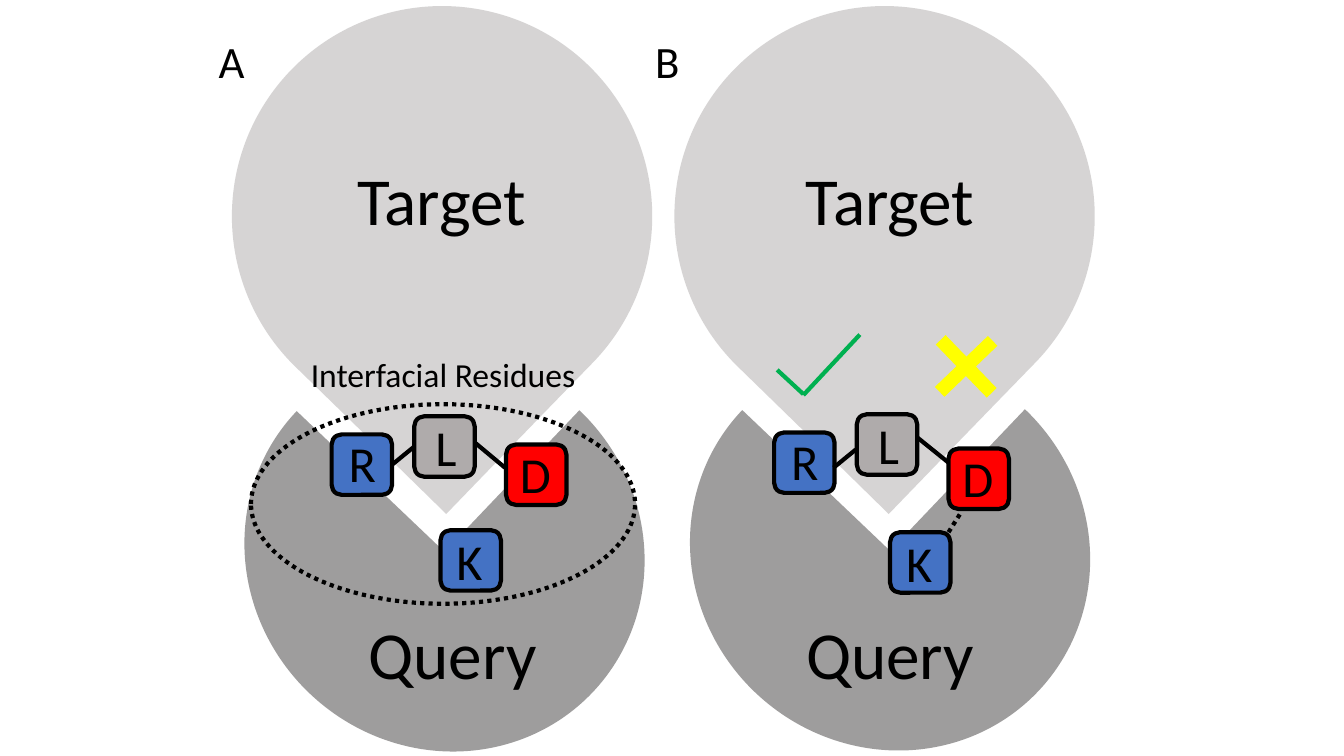
from dataclasses import dataclass

import pptx
import pptx.dml.color
import pptx.enum.dml
import pptx.enum.shapes
import pptx.enum.text
import pptx.oxml.ns
import pptx.shapes.autoshape
import pptx.shapes.connector
import pptx.slide
import pptx.util
from lxml import etree

SHAPES = pptx.enum.shapes.MSO_SHAPE
ALIGN = pptx.enum.text.PP_ALIGN
CELL = pptx.util.Inches(0.1)  # one column or one row of the layout grid
COLUMNS, ROWS = 133.33, 75
RIGHT_SIDE, LEFT_SIDE = 3, 1
RESIDUE_SIZE = 6


@dataclass(frozen=True)
class Theme:
    font: str = "Calibri"
    ink: str = "000000"
    target: str = "AFABAB"
    query: str = "3B3838"
    match: str = "00B050"
    clash: str = "FFFF00"
    line: float = 3
    protein_size: int = 48
    residue_size: int = 36
    panel_size: int = 32
    caption_size: int = 24


THEME = Theme()


@dataclass(frozen=True)
class Box:
    """Left, top, width and height in grid cells."""
    left: float
    top: float
    width: float
    height: float

    def shifted(self, columns: float) -> "Box":
        return Box(self.left + columns, self.top, self.width, self.height)

    def emu(self) -> list[int]:
        return [grid(n) for n in (self.left, self.top, self.width, self.height)]


@dataclass(frozen=True)
class ResidueStyle:
    colour: str
    letter_dx: float
    letter_dy: float


@dataclass(frozen=True)
class Bond:
    """A line from start to end; joined names two residues it is glued to."""
    start: tuple[float, float]
    end: tuple[float, float]
    colour: str = THEME.ink
    dotted: bool = False
    joined: str = ""


@dataclass(frozen=True)
class Panel:
    """Columns are counted from the left edge of the target."""
    letter: str
    origin: float
    letter_left: float
    target_label_left: float
    query: tuple[float, float]
    query_label_left: float
    residues: dict[str, tuple[float, float]]
    bonds: tuple[Bond, ...]


RESIDUES = {
    "L": ResidueStyle(THEME.target, 1.1, -0.5),
    "R": ResidueStyle("4472C4", 0.7, -0.7),
    "K": ResidueStyle("4472C4", 0.6, -0.55),
    "D": ResidueStyle("FF0000", 0.4, -0.65),
}

PANEL_A = Panel(
    "A", 23, -2.3, 6.6, (1.7, 34.5), 10.8,
    {"L": (18.1, 41.3), "R": (9.9, 43.1), "K": (20.7, 52.6), "D": (27.2, 44.1)},
    (Bond((15.9, 46.1), (18.1, 44.3), joined="RL"),
     Bond((24.1, 43.9), (30.1 - 3, 46.4))),
)
PANEL_B = Panel(
    "B", 66.9, -2.9, 7.2, (2, 34.4), 10.3,
    {"L": (18.1, 41.1), "R": (9.9, 42.9), "K": (21.4, 52.8), "D": (27.2, 44.5)},
    (Bond((15.8, 46.4), (18, 44.6)),
     Bond((24.1, 43.4), (27.2, 45.9)),
     Bond((27.2, 52.8), (28.4, 50.9), dotted=True),
     Bond((10.2, 36.7), (12.8, 39.1), THEME.match),
     Bond((18.4, 33.2), (12.8, 39.2), THEME.match)),
)


def grid(cells: float) -> int:
    return round(cells * CELL)


def rgb(colour: str) -> pptx.dml.color.RGBColor:
    return pptx.dml.color.RGBColor.from_string(colour)


def add_outline(line: pptx.dml.line.LineFormat, colour: str, dotted: bool = False) -> None:
    line.color.rgb = rgb(colour)
    line.width = pptx.util.Pt(THEME.line)
    if dotted:
        line.dash_style = pptx.enum.dml.MSO_LINE.ROUND_DOT


def add_figure(slide: pptx.slide.Slide, kind: SHAPES, box: Box, colour: str = "",
               opacity: int = 100, rotation: float = 0,
               adjustment: float | None = None) -> pptx.shapes.autoshape.Shape:
    """Add a shape without outline; an empty colour leaves it unfilled."""
    figure = slide.shapes.add_shape(kind, *box.emu())
    figure.shadow.inherit = False
    figure.rotation = rotation
    figure.line.fill.background()
    if adjustment is not None:
        figure.adjustments[0] = adjustment
    if not colour:
        figure.fill.background()
        return figure
    figure.fill.solid()
    figure.fill.fore_color.rgb = rgb(colour)
    if opacity < 100:
        tone = figure.fill._xPr.find(".//" + pptx.oxml.ns.qn("a:srgbClr"))
        etree.SubElement(tone, pptx.oxml.ns.qn("a:alpha"), val=str(opacity * 1000))
    return figure


def add_label(slide: pptx.slide.Slide, wording: str, box: Box, size: int,
              align: ALIGN = ALIGN.CENTER) -> None:
    frame = slide.shapes.add_textbox(*box.emu()).text_frame
    frame.word_wrap = True
    frame.auto_size = pptx.enum.text.MSO_AUTO_SIZE.SHAPE_TO_FIT_TEXT
    frame.text = wording
    paragraph = frame.paragraphs[0]
    paragraph.alignment = align
    font = paragraph.runs[0].font
    font.name, font.size = THEME.font, pptx.util.Pt(size)
    font.color.rgb = rgb(THEME.ink)


def add_residue(slide: pptx.slide.Slide, letter: str, left: float,
                top: float) -> pptx.shapes.autoshape.Shape:
    style = RESIDUES[letter]
    tile = add_figure(slide, SHAPES.ROUNDED_RECTANGLE,
                      Box(left, top, RESIDUE_SIZE, RESIDUE_SIZE), style.colour)
    add_outline(tile.line, THEME.ink)
    add_label(slide, letter, Box(left + style.letter_dx, top + style.letter_dy, 5, 7.1),
              THEME.residue_size, ALIGN.LEFT)
    return tile


def add_bond(slide: pptx.slide.Slide, bond: Bond,
             origin: float) -> pptx.shapes.connector.Connector:
    (x1, y1), (x2, y2) = bond.start, bond.end
    line = slide.shapes.add_connector(
        pptx.enum.shapes.MSO_CONNECTOR.STRAIGHT,
        grid(origin + x1), grid(y1), grid(origin + x2), grid(y2))
    add_outline(line.line, bond.colour, bond.dotted)
    etree.SubElement(line._element.spPr, pptx.oxml.ns.qn("a:effectLst"))
    return line


def add_panel(slide: pptx.slide.Slide, panel: Panel) -> None:
    origin = panel.origin
    add_figure(slide, SHAPES.TEAR, Box(origin, 0.6, 41.7, 41.7),
               THEME.target, 50, 134.2, 1.002)
    add_figure(slide, SHAPES.TEAR, Box(*panel.query, 38.8, 40.5).shifted(origin),
               THEME.query, 49, 313.6, 0)
    tiles = {letter: add_residue(slide, letter, origin + left, top)
             for letter, (left, top) in panel.residues.items()}
    for bond in panel.bonds:
        line = add_bond(slide, bond, origin)
        if bond.joined:
            first, second = bond.joined
            line.begin_connect(tiles[first], RIGHT_SIDE)
            line.end_connect(tiles[second], LEFT_SIDE)
    add_label(slide, "Target", Box(origin + panel.target_label_left, 15.2, 28.4, 9.1),
              THEME.protein_size)
    add_label(slide, "Query", Box(origin + panel.query_label_left, 60.3, 22.2, 9.1),
              THEME.protein_size)
    add_label(slide, panel.letter, Box(origin + panel.letter_left, 2.9, 5.3, 6.4),
              THEME.panel_size, ALIGN.LEFT)


def main() -> None:
    deck = pptx.Presentation()
    deck.slide_width, deck.slide_height = grid(COLUMNS), grid(ROWS)
    slide = deck.slides.add_slide(deck.slide_layouts.get_by_name("Blank"))
    add_panel(slide, PANEL_A)
    interface = add_figure(slide, SHAPES.OVAL, Box(24.9, 40.1, 38.1, 19.8))
    add_outline(interface.line, THEME.ink, dotted=True)
    add_label(slide, "Interfacial Residues", Box(29.4, 34.6, 29.1, 5), THEME.caption_size)
    add_panel(slide, PANEL_B)
    add_figure(slide, SHAPES.CROSS, Box(92.2, 32.7, 7.3, 7.3), THEME.clash,
               rotation=46.1, adjustment=0.407)
    deck.save("out.pptx")


if __name__ == "__main__":
    main()
